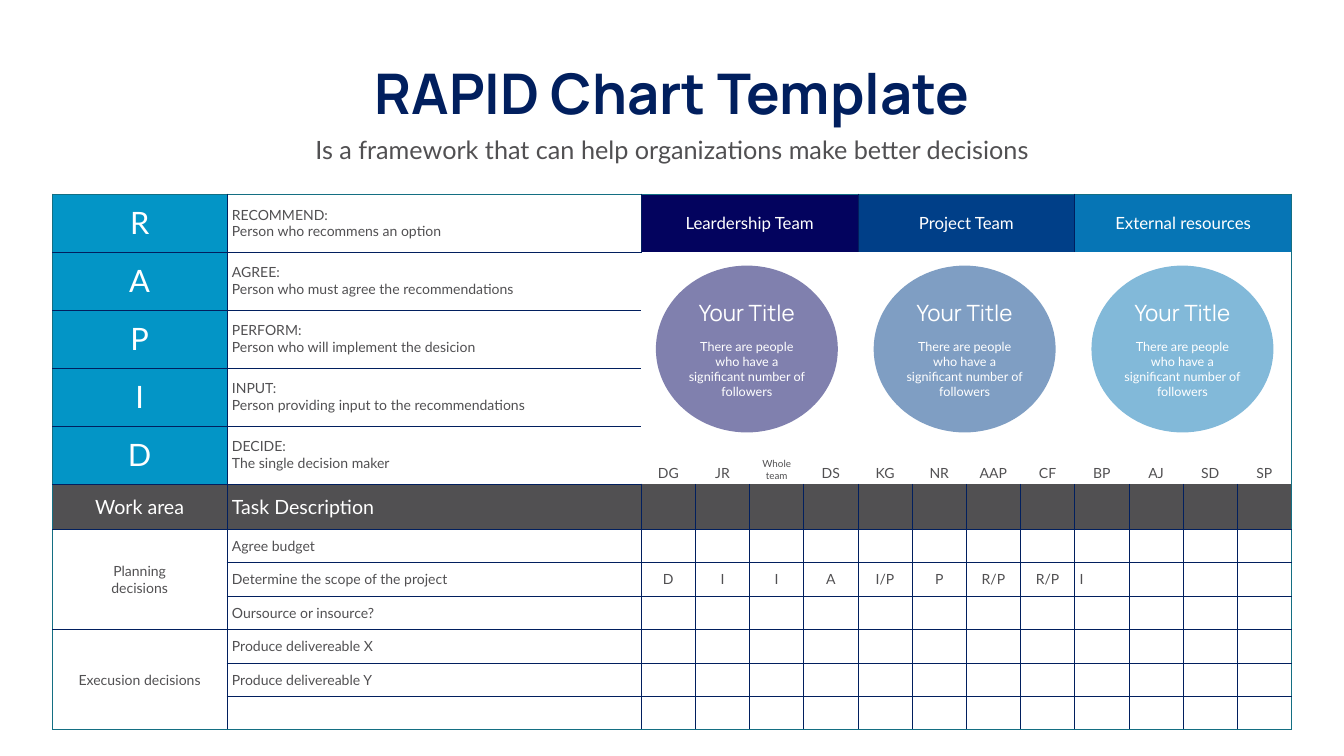
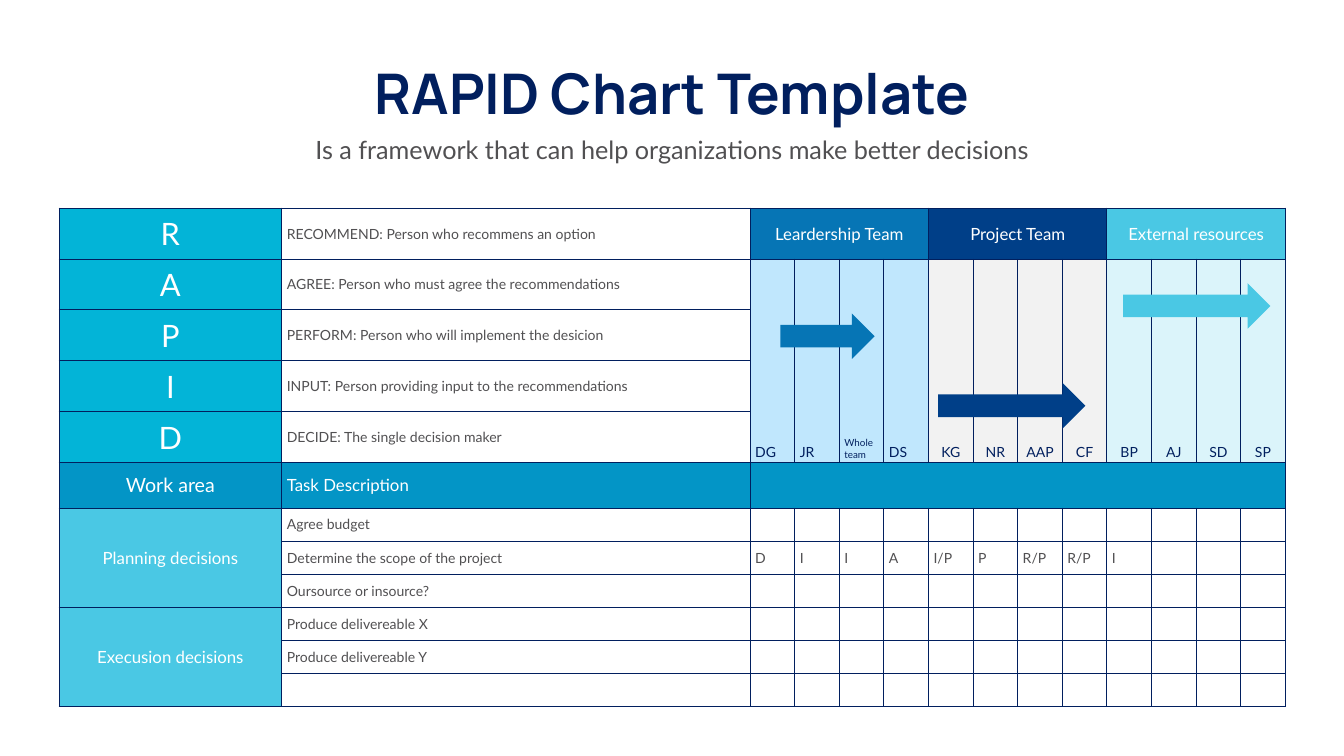
import dataclasses

import lxml.etree
import pptx
import pptx.dml.color
import pptx.enum.shapes
import pptx.enum.text
import pptx.oxml.ns
import pptx.util

Inches = pptx.util.Inches
Pt = pptx.util.Pt
Align = pptx.enum.text.PP_ALIGN
Anchor = pptx.enum.text.MSO_ANCHOR
Preset = pptx.enum.shapes.MSO_SHAPE
qualified = pptx.oxml.ns.qn

# ---------- content ----------
TITLE = "RAPID Chart Template"
SUBTITLE = "Is a framework that can help organizations make better decisions"
ROLES = [
    ("R", "RECOMMEND:", "Person who recommens an option"),
    ("A", "AGREE:", "Person who must agree the recommendations"),
    ("P", "PERFORM:", "Person who will implement the desicion"),
    ("I", "INPUT:", "Person providing input to the recommendations"),
    ("D", "DECIDE:", "The single decision maker"),
]
TEAMS = [
    ("Leardership Team", ["DG", "JR", "Whole team", "DS"]),
    ("Project Team", ["KG", "NR", "AAP", "CF"]),
    ("External resources", ["BP", "AJ", "SD", "SP"]),
]
HEADINGS = ("Work area", "Task Description")
AREAS = [
    (["Planning", "decisions"],
     ["Agree budget", "Determine the scope of the project", "Oursource or insource?"]),
    (["Execusion decisions"],
     ["Produce delivereable X", "Produce delivereable Y", ""]),
]
ASSIGNMENTS = {"Determine the scope of the project":
               ["D", "I", "I", "A", "I/P", "P", "R/P", "R/P", "I"]}
BUBBLE_TITLE = "Your Title"
BUBBLE_TEXT = "There are people who have a significant number of followers"


# ---------- theme ----------
@dataclasses.dataclass(frozen=True)
class Theme:
    heading_font: str = "Manrope"
    body_font: str = "Lato"
    white: str = "FFFFFF"
    navy: str = "011F5E"
    grey: str = "515052"
    teal: str = "146F83"
    indigo: str = "03035E"
    royal: str = "003F88"
    blue: str = "0675B5"
    azure: str = "0395C6"
    cyan: str = "03B4D7"
    sky: str = "4AC8E4"
    title: int = 80
    letter: int = 44
    subtitle: int = 36
    bubble_title: int = 32
    work: int = 28
    team: int = 24
    body: int = 20
    bubble: int = 18
    small: int = 14


THEME = Theme()
SLIDE_WIDTH, SLIDE_HEIGHT = 26.66, 15
HEADING_ROW = len(ROLES)
FIRST_TASK_ROW = HEADING_ROW + 1
FIRST_MEMBER = 2
TEAM_SIZE = len(TEAMS[0][1])
MEMBER_COUNT = TEAM_SIZE * len(TEAMS)
TASK_COUNT = sum(len(tasks) for _, tasks in AREAS)
ROW_COUNT = FIRST_TASK_ROW + TASK_COUNT
COLUMN_COUNT = FIRST_MEMBER + MEMBER_COUNT

BUBBLE_CHART = {
    "box": (1.04, 3.85, 24.58, 10.63),
    "columns": (3.46, 8.22), "role_row": 1.15, "heading_row": 0.9,
    "line": 1, "outline": THEME.teal, "open_team_zone": True,
    "split_lines": True, "merge_heading": False,
    "letter_fill": THEME.azure, "heading_fill": THEME.grey,
    "team_fills": (THEME.indigo, THEME.royal, THEME.blue),
    "member_fills": (None, None, None), "member_color": THEME.grey,
    "member_align": (Align.CENTER,) * 3,
    "value_align": (Align.CENTER, Align.CENTER, Align.LEFT),
    "task_heading_size": THEME.work,
    "area": (None, THEME.grey, THEME.body),
}
ARROW_CHART = {
    "box": (1.17, 4.13, 24.33, 9.89),
    "columns": (4.42, 9.29), "role_row": 1.01, "heading_row": 0.9,
    "line": 1.5, "outline": THEME.navy, "open_team_zone": False,
    "split_lines": False, "merge_heading": True,
    "letter_fill": THEME.cyan, "heading_fill": THEME.azure,
    "team_fills": (THEME.blue, THEME.royal, THEME.sky),
    "member_fills": ("C0E7FD", "F2F2F2", "DBF4FA"), "member_color": THEME.navy,
    "member_align": (Align.LEFT, Align.CENTER, Align.CENTER),
    "value_align": (Align.LEFT,) * 3,
    "task_heading_size": THEME.team,
    "area": (THEME.sky, THEME.white, THEME.team),
}
BUBBLE_LEFT, BUBBLE_TOP, BUBBLE_STEP = 13.01, 5.27, 4.32
BUBBLE_SIZE = (3.61, 3.31)
ARROW_HEIGHT = 0.9
ARROWS = [  # left, top, width, colour
    (22.28, 5.62, 2.92, THEME.sky),
    (18.61, 7.6, 2.92, THEME.royal),
    (15.48, 6.22, 1.87, THEME.blue),
]


# ---------- helpers ----------
def rgb(color):
    return pptx.dml.color.RGBColor.from_string(color)


def inches(*lengths):
    return [Inches(length) for length in lengths]


def paint(fill, color):
    if color is None:
        fill.background()
    else:
        fill.solid()
        fill.fore_color.rgb = rgb(color)


def write(frame, lines, size, color, align=Align.CENTER, font=THEME.body_font, bold=False):
    for index, line in enumerate(lines):
        paragraph = frame.add_paragraph() if index else frame.paragraphs[0]
        paragraph.text = line
        style(paragraph, size, color, align, font, bold)


def style(paragraph, size, color, align, font, bold=False):
    paragraph.alignment = align
    paragraph.font.name = font
    paragraph.font.size = Pt(size)
    paragraph.font.bold = bold
    paragraph.font.color.rgb = rgb(color)


def draw_borders(cell, colors, width):
    """Set the left, right, top and bottom lines; None leaves a side open."""
    properties = cell._tc.get_or_add_tcPr()
    for position, (tag, color) in enumerate(zip(("a:lnL", "a:lnR", "a:lnT", "a:lnB"), colors)):
        line = lxml.etree.Element(qualified(tag), w=str(Pt(width)))
        if color is None:
            lxml.etree.SubElement(line, qualified("a:noFill"))
        else:
            solid = lxml.etree.SubElement(line, qualified("a:solidFill"))
            lxml.etree.SubElement(solid, qualified("a:srgbClr"), val=color)
        properties.insert(position, line)


def border_colors(chart, row, column, row_span, column_span):
    bottom, right = row + row_span, column + column_span
    edges = (column == 0, right == COLUMN_COUNT, row == 0, bottom == ROW_COUNT)
    colors = [chart["outline"] if edge else THEME.navy for edge in edges]
    if chart["open_team_zone"]:
        in_teams = column >= FIRST_MEMBER
        in_zone = 1 <= row < HEADING_ROW
        open_sides = (
            in_teams and in_zone,
            in_zone and right >= FIRST_MEMBER and right < COLUMN_COUNT,
            in_teams and 1 <= row <= HEADING_ROW,
            in_teams and row < HEADING_ROW,
        )
        colors = [None if is_open else color for is_open, color in zip(open_sides, colors)]
    return colors


def add_heading(slide):
    for text, box, size, color, font, bold in (
        (TITLE, (6.89, 1.12, 12.88, 1.45), THEME.title, THEME.navy, THEME.heading_font, True),
        (SUBTITLE, (2.92, 2.61, 20.82, 0.71), THEME.subtitle, THEME.grey, THEME.body_font, False),
    ):
        frame = slide.shapes.add_textbox(*inches(*box)).text_frame
        frame.word_wrap = text != TITLE
        write(frame, [text], size, color, font=font, bold=bold)


def add_rapid_table(slide, chart):
    left, top, width, height = chart["box"]
    table = slide.shapes.add_table(
        ROW_COUNT, COLUMN_COUNT, *inches(left, top, width, height)).table
    table.first_row = table.horz_banding = False
    member_width = (width - sum(chart["columns"])) / MEMBER_COUNT
    upper_rows = [chart["role_row"]] * len(ROLES) + [chart["heading_row"]]
    task_height = (height - sum(upper_rows)) / TASK_COUNT
    for column, length in zip(table.columns, [*chart["columns"]] + [member_width] * MEMBER_COUNT):
        column.width = Inches(length)
    for row, length in zip(table.rows, upper_rows + [task_height] * TASK_COUNT):
        row.height = Inches(length)

    def put(row, column, lines, size=THEME.body, color=THEME.grey, align=Align.LEFT,
            fill=None, span=(1, 1), anchor=Anchor.MIDDLE):
        """Fill one cell, merged over span (rows, columns)."""
        cell = table.cell(row, column)
        if span != (1, 1):
            cell.merge(table.cell(row + span[0] - 1, column + span[1] - 1))
        write(cell.text_frame, lines, size, color, align)
        cell.vertical_anchor = anchor
        colors = border_colors(chart, row, column, *span)
        for covered_row in range(row, row + span[0]):
            for covered_column in range(column, column + span[1]):
                covered = table.cell(covered_row, covered_column)
                paint(covered.fill, fill)
                draw_borders(covered, colors, chart["line"])

    for row, (letter, role, meaning) in enumerate(ROLES):
        lines = [role, meaning] if chart["split_lines"] else [f"{role} {meaning}"]
        put(row, 0, [letter], THEME.letter, THEME.white, Align.CENTER, chart["letter_fill"])
        put(row, 1, lines, fill=None if row else THEME.white)

    for team, (name, members) in enumerate(TEAMS):
        first = FIRST_MEMBER + team * TEAM_SIZE
        put(0, first, [name], THEME.team, THEME.white, Align.CENTER,
            chart["team_fills"][team], (1, TEAM_SIZE))
        for column, member in enumerate(members, first):
            size = THEME.small if " " in member else THEME.body
            put(1, column, [member], size, chart["member_color"], chart["member_align"][team],
                chart["member_fills"][team], (HEADING_ROW - 1, 1), Anchor.BOTTOM)

    fill = chart["heading_fill"]
    put(HEADING_ROW, 0, HEADINGS[:1], THEME.work, THEME.white, Align.CENTER, fill)
    put(HEADING_ROW, 1, HEADINGS[1:], chart["task_heading_size"], THEME.white, fill=fill)
    heading_span = MEMBER_COUNT if chart["merge_heading"] else 1
    for column in range(FIRST_MEMBER, COLUMN_COUNT, heading_span):
        put(HEADING_ROW, column, [""], fill=fill, span=(1, heading_span))

    row = FIRST_TASK_ROW
    area_fill, area_color, area_size = chart["area"]
    for area, tasks in AREAS:
        lines = area if chart["split_lines"] else [" ".join(area)]
        put(row, 0, lines, area_size, area_color, Align.CENTER, area_fill, (len(tasks), 1))
        for task in tasks:
            put(row, 1, [task])
            values = ASSIGNMENTS.get(task, [])
            for member in range(MEMBER_COUNT):
                value = values[member] if member < len(values) else ""
                put(row, FIRST_MEMBER + member, [value],
                    align=chart["value_align"][member // TEAM_SIZE])
            row += 1


def add_plain_shape(slide, preset, box, color):
    shape = slide.shapes.add_shape(preset, *inches(*box))
    shape.shadow.inherit = False
    paint(shape.fill, color)
    shape.line.fill.background()
    return shape


def add_bubble(slide, left, color):
    bubble = add_plain_shape(slide, Preset.OVAL, (left, BUBBLE_TOP, *BUBBLE_SIZE), color)
    tint = bubble.fill._xPr.find(".//" + qualified("a:srgbClr"))
    lxml.etree.SubElement(tint, qualified("a:alpha"), val="50000")
    frame = bubble.text_frame
    frame.word_wrap = True
    frame.vertical_anchor = Anchor.MIDDLE
    write(frame, [BUBBLE_TITLE, BUBBLE_TEXT], THEME.bubble, THEME.white)
    heading, body = frame.paragraphs
    style(heading, THEME.bubble_title, THEME.white, Align.CENTER, THEME.heading_font)
    body.space_before = Pt(18)


def main():
    presentation = pptx.Presentation()
    presentation.slide_width, presentation.slide_height = inches(SLIDE_WIDTH, SLIDE_HEIGHT)
    blank = presentation.slide_layouts[6]

    slide = presentation.slides.add_slide(blank)
    add_heading(slide)
    add_rapid_table(slide, BUBBLE_CHART)
    for team, color in enumerate(BUBBLE_CHART["team_fills"]):
        add_bubble(slide, BUBBLE_LEFT + team * BUBBLE_STEP, color)

    slide = presentation.slides.add_slide(blank)
    add_rapid_table(slide, ARROW_CHART)
    for left, top, width, color in ARROWS:
        add_plain_shape(slide, Preset.RIGHT_ARROW, (left, top, width, ARROW_HEIGHT), color)
    add_heading(slide)

    presentation.save("out.pptx")


if __name__ == "__main__":
    main()
